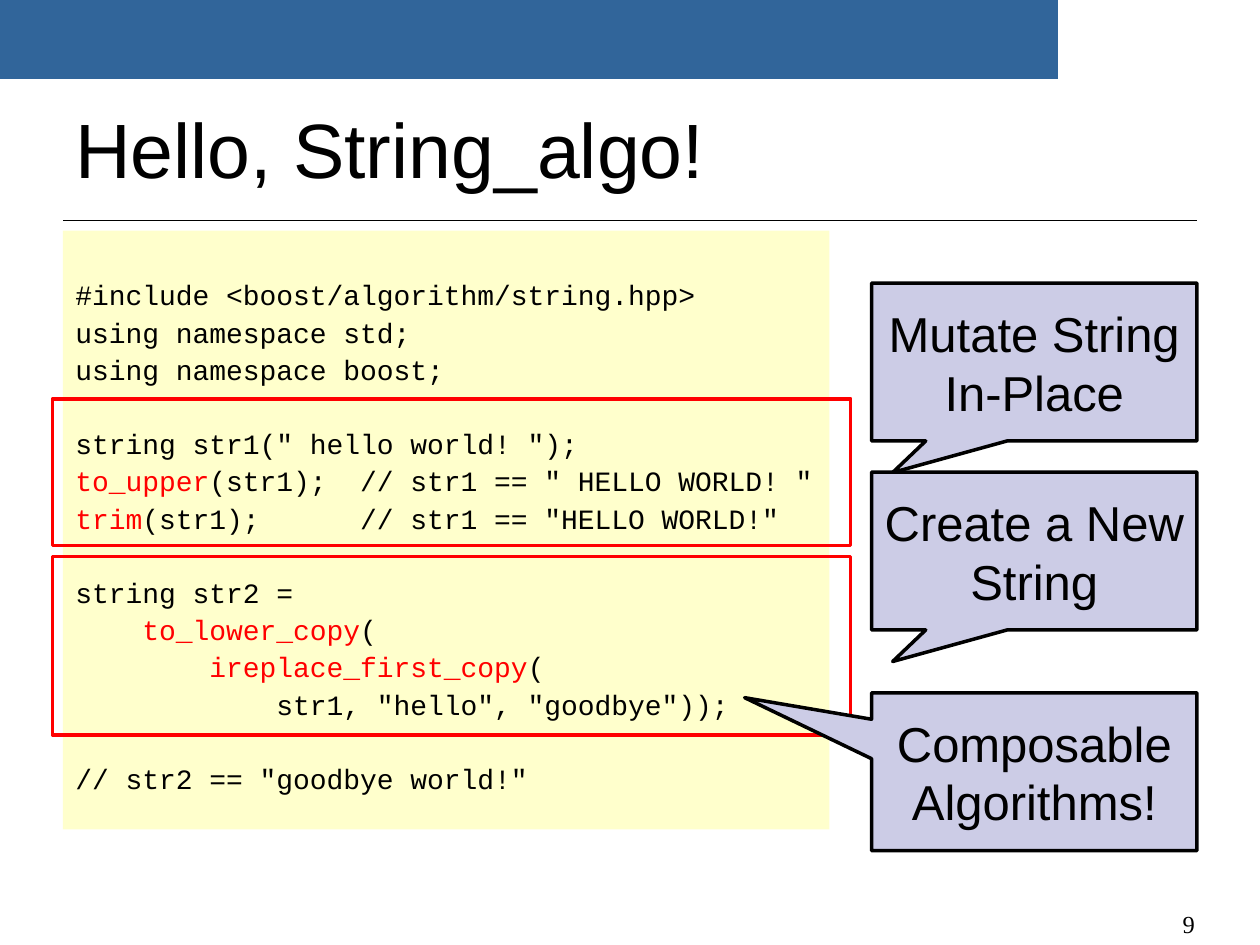
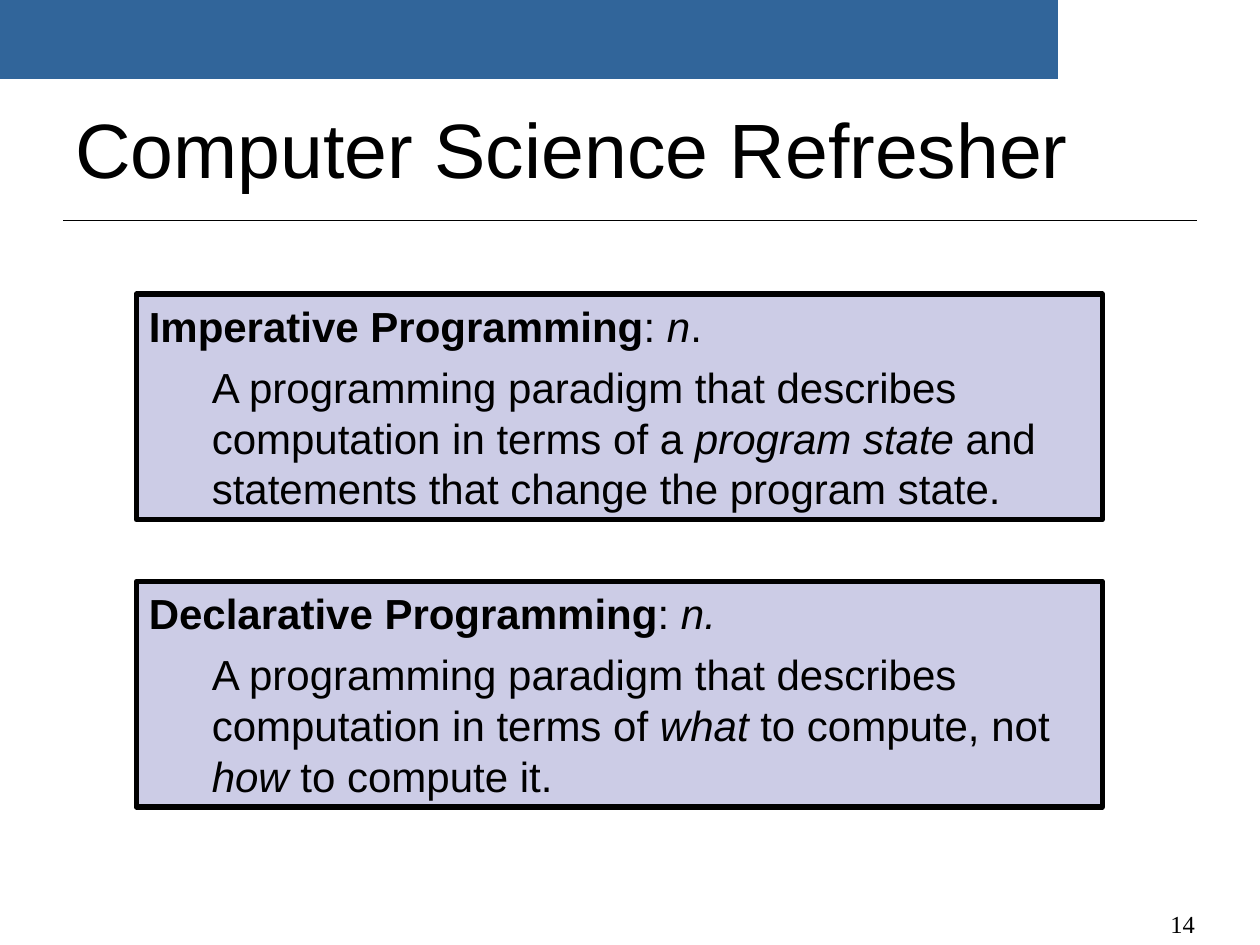
from pptx import Presentation
from pptx.dml.color import RGBColor
from pptx.enum.shapes import MSO_CONNECTOR, MSO_SHAPE
from pptx.enum.text import MSO_ANCHOR, PP_ALIGN
from pptx.oxml.ns import qn
from pptx.util import Cm, Pt
from lxml import etree

# Content
TITLES = [("Hello, String_algo!", 9), ("Computer Science Refresher", 14)]

# Groups of code lines; a line is plain text or (indent, function, rest)
CODE = [
    ["#include <boost/algorithm/string.hpp>",
     "using namespace std;",
     "using namespace boost;"],
    ['string str1(" hello world! ");',
     ("", "to_upper", '(str1);  // str1 == " HELLO WORLD! "'),
     ("", "trim", '(str1);      // str1 == "HELLO WORLD!"')],
    ["string str2 =",
     ("    ", "to_lower_copy", "("),
     ("        ", "ireplace_first_copy", "("),
     '            str1, "hello", "goodbye"));'],
    ['// str2 == "goodbye world!"'],
]

# Callout text, top, pointer position, (top, height) of the framed code
CALLOUTS = [
    ("Mutate String In-Place", 5.71, (-0.435, 0.7), (8.04, 2.96)),
    ("Create a New String", 9.52, (-0.435, 0.7), (11.22, 3.6)),
    ("Composable Algorithms!", 13.97, (-0.89, -0.47), None),
]

# Term, its note, then the definition; each run is (text, style)
DEFINITIONS = [
    ([("Imperative Programming", "b"), (": ", ""), ("n", "i"), (".", "")],
     [("A programming paradigm that describes computation in terms of a ", ""),
      ("program state", "i"),
      (" and statements that change the program state.", "")]),
    ([("Declarative Programming", "b"), (": ", ""), ("n.", "i")],
     [("A programming paradigm that describes computation in terms of ", ""),
      ("what", "i"), (" to compute, not ", ""), ("how", "i"),
      (" to compute it.", "")]),
]

# Shared look
BLACK, RED, LILAC, CREAM = "000000", "FF0000", "CCCCE6", "FFFFCC"
BAND = ("31659A", "34679A")
LEFT, RIGHT = 1.27, 24.13
LINE_HEIGHT = 1.205
CODE_PITCH = 21.25


def rgb(hex_color):
    return RGBColor.from_string(hex_color)


def add_box(s, box, kind=MSO_SHAPE.RECTANGLE, fill=None, line=None, width=2):
    sp = s.shapes.add_shape(kind, *map(Cm, box))
    sp.shadow.inherit = False
    if fill:
        sp.fill.solid()
        sp.fill.fore_color.rgb = rgb(fill)
    else:
        sp.fill.background()
    if line:
        sp.line.color.rgb = rgb(line)
        sp.line.width = Pt(width)
    else:
        sp.line.fill.background()
    return sp


def prepare(sp, anchor=MSO_ANCHOR.TOP):
    tf = sp.text_frame
    tf.word_wrap = True
    tf.vertical_anchor = anchor
    return tf


def add_par(tf, size, pitch=None, align=PP_ALIGN.LEFT):
    p = tf.add_paragraph() if tf.paragraphs[0].runs else tf.paragraphs[0]
    p.alignment = align
    p.line_spacing = Pt(pitch or round(size * LINE_HEIGHT, 1))
    return p


def add_run(p, text, size, font="Arial", color=BLACK, style=""):
    r = p.add_run()
    r.text = text
    r.font.name, r.font.size = font, Pt(size)
    r.font.color.rgb = rgb(color)
    r.font.bold, r.font.italic = style == "b", style == "i"


def add_base(prs, title, number):
    s = prs.slides.add_slide(prs.slide_layouts[6])
    # Rule under the title
    rule = s.shapes.add_connector(MSO_CONNECTOR.STRAIGHT, Cm(LEFT), Cm(4.44),
                                  Cm(RIGHT), Cm(4.44))
    rule.line.color.rgb = rgb(BLACK)
    rule.line.width = Pt(0.75)
    etree.SubElement(rule._element.spPr, qn("a:effectLst"))
    # Top band
    band = add_box(s, (0, 0, 21.34, 1.6))
    band.fill.gradient()
    band.fill.gradient_angle = 180
    for stop, color in zip(band.fill.gradient_stops, BAND):
        stop.color.rgb = rgb(color)
    # Title and page number
    tb = s.shapes.add_textbox(Cm(LEFT), Cm(1.7), Cm(RIGHT - LEFT), Cm(2.54))
    add_run(add_par(prepare(tb, MSO_ANCHOR.MIDDLE), 44), title, 44)
    tb = s.shapes.add_textbox(Cm(20.96), Cm(17.73), Cm(3.38), Cm(1.32))
    p = add_par(prepare(tb, MSO_ANCHOR.BOTTOM), 14, align=PP_ALIGN.RIGHT)
    add_run(p, str(number), 14, "Times New Roman")
    return s


def add_code(s):
    tf = prepare(add_box(s, (LEFT, 4.65, 15.45, 12.07), fill=CREAM))
    tf.margin_top = Cm(0.88)
    for g, group in enumerate(CODE):
        for n, line in enumerate(group):
            p = add_par(tf, 16, CODE_PITCH)
            if g and n == 0:
                p.space_before = Pt(CODE_PITCH)
            parts = (line,) if isinstance(line, str) else line
            for k, text in enumerate(parts):
                if text:
                    add_run(p, text, 16, "Courier New", RED if k == 1 else BLACK)


def add_callouts(s):
    for text, top, pointer, frame in CALLOUTS:
        if frame:
            add_box(s, (1.06, frame[0], 16.09, frame[1]), line=RED)
        sp = add_box(s, (17.57, top, 6.56, 3.18),
                     MSO_SHAPE.RECTANGULAR_CALLOUT, LILAC, BLACK)
        sp.adjustments[0], sp.adjustments[1] = pointer
        tf = prepare(sp, MSO_ANCHOR.MIDDLE)
        tf.margin_left = tf.margin_right = Cm(0.2)
        add_run(add_par(tf, 28, align=PP_ALIGN.CENTER), text, 28)


def add_definitions(s):
    for n, (term, meaning) in enumerate(DEFINITIONS):
        box = (2.75, 5.93 + n * 5.79, 19.47, 4.55)
        tf = prepare(add_box(s, box, fill=LILAC, line=BLACK, width=3))
        for level, runs in enumerate((term, meaning)):
            p = add_par(tf, 24)
            if level:
                p.space_before = Pt(6)
                pPr = p._p.get_or_add_pPr()
                pPr.set("marL", str(Cm(1.27)))
                pPr.set("indent", "0")
            for text, style in runs:
                add_run(p, text, 24, style=style)


def main():
    prs = Presentation()
    prs.slide_width, prs.slide_height = Cm(25.4), Cm(19.05)
    hello, refresher = [add_base(prs, *title) for title in TITLES]
    add_code(hello)
    add_callouts(hello)
    add_definitions(refresher)
    prs.save("out.pptx")


if __name__ == "__main__":
    main()
